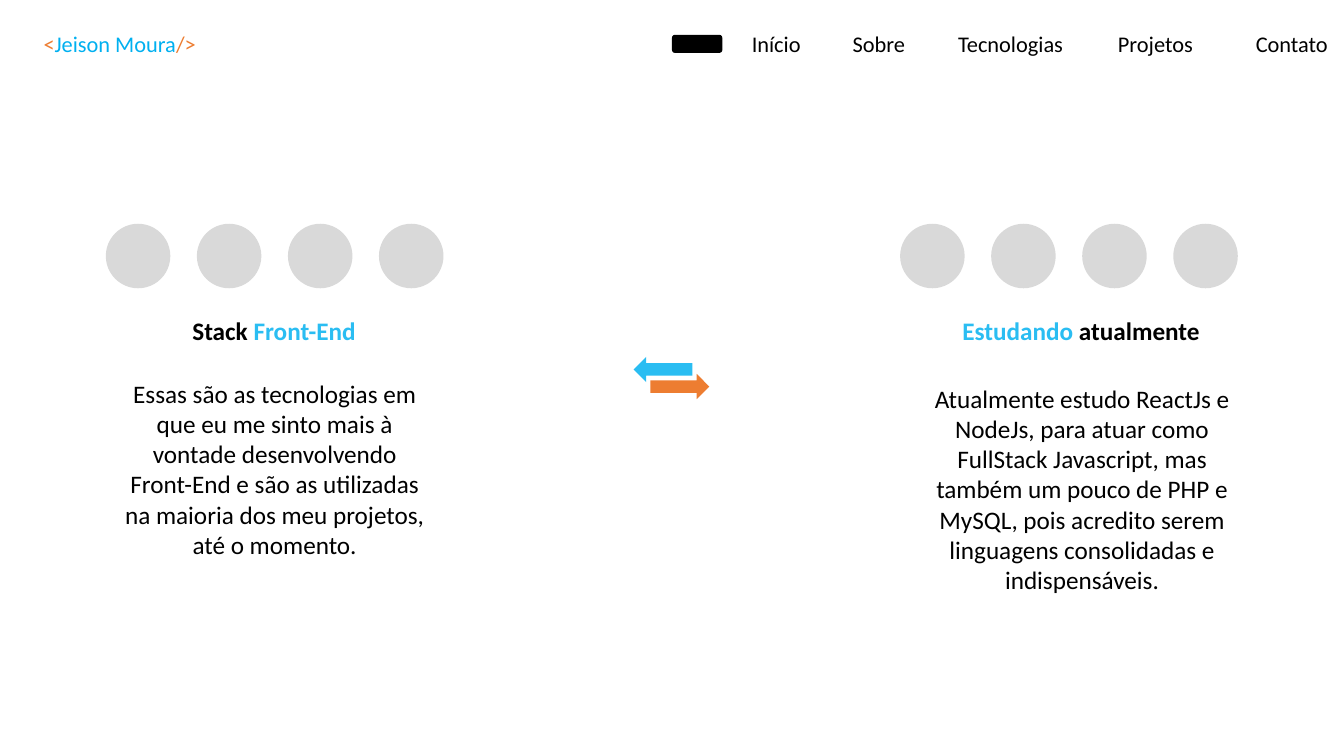
import pptx
import pptx.dml.color
import pptx.enum.shapes
import pptx.enum.text
import pptx.oxml.ns
import pptx.util
from lxml import etree

SLIDE_WIDTH = pptx.util.Inches(13.333)
SLIDE_HEIGHT = pptx.util.Inches(7.5)
COLUMN = SLIDE_WIDTH / 40
ROW = SLIDE_HEIGHT / 30

COLORS = {
    "ink": "000000",
    "sky": "2ABDF2",
    "blue": "00B0F0",
    "orange": "ED7D31",
    "gray": "D9D9D9",
}
FONT = "Calibri"
SHAPES = pptx.enum.shapes.MSO_SHAPE
LEFT = pptx.enum.text.PP_ALIGN.LEFT
CENTER = pptx.enum.text.PP_ALIGN.CENTER


def color(name):
    return pptx.dml.color.RGBColor.from_string(COLORS[name])


def place(column, row, columns, rows):
    return (round(column * COLUMN), round(row * ROW),
            round(columns * COLUMN), round(rows * ROW))


def add_figure(slide, kind, area, fill, rotation=0):
    figure = slide.shapes.add_shape(kind, *place(*area))
    figure.shadow.inherit = False
    figure.fill.solid()
    figure.fill.fore_color.rgb = color(fill)
    figure.line.fill.background()
    figure.rotation = rotation


def add_text(slide, area, paragraphs, size=18, bold=False, align=LEFT, wrap=False):
    frame = slide.shapes.add_textbox(*place(*area)).text_frame
    frame.word_wrap = wrap
    for index, pieces in enumerate(paragraphs):
        paragraph = frame.add_paragraph() if index else frame.paragraphs[0]
        paragraph.alignment = align
        for words, tone in pieces:
            run = paragraph.add_run()
            run.text = words
            run.font.name = FONT
            run.font.size = pptx.util.Pt(size)
            run.font.bold = bold
            run.font.color.rgb = color(tone)
    return frame


def add_menu(slide, area, entries, stops):
    frame = add_text(slide, area, [[("\t".join(entries), "ink")]], size=16, wrap=True)
    frame.margin_right = 0
    properties = frame.paragraphs[0]._p.get_or_add_pPr()
    tabs = etree.SubElement(properties, pptx.oxml.ns.qn("a:tabLst"))
    for stop in stops:
        etree.SubElement(tabs, pptx.oxml.ns.qn("a:tab"),
                         pos=str(round(stop * COLUMN)), algn="l")


def add_circles(slide, first_column, count=4, pitch=2.71):
    for index in range(count):
        add_figure(slide, SHAPES.OVAL,
                   (first_column + index * pitch, 8.88, 1.92, 2.56), "gray")


def add_stack(slide, circles_column, title_area, title, body_area, body):
    add_text(slide, title_area, [title], bold=True)
    add_circles(slide, circles_column)
    add_text(slide, body_area, [[(words, "ink")] for words in body],
             align=CENTER, wrap=True)


def main():
    deck = pptx.Presentation()
    deck.slide_width = SLIDE_WIDTH
    deck.slide_height = SLIDE_HEIGHT
    slide = deck.slides.add_slide(deck.slide_layouts[6])

    add_stack(
        slide, 3.15,
        (5.43, 12.32, 5.52, 1.6), [("Stack ", "ink"), ("Front-End", "sky")],
        (3.15, 14.8, 10.05, 7.68),
        ["Essas são as tecnologias em que eu me sinto mais à vontade desenvolvendo",
         "Front-End e são as utilizadas na maioria dos meu projetos, até o momento."])
    add_stack(
        slide, 26.79,
        (28.35, 12.32, 7.71, 1.6), [("Estudando", "sky"), (" atualmente", "ink")],
        (27.18, 15, 10.05, 8.88),
        ["Atualmente estudo ReactJs e NodeJs, para atuar como FullStack Javascript, "
         "mas também um pouco de PHP e MySQL, pois acredito serem linguagens "
         "consolidadas e indispensáveis."])

    add_figure(slide, SHAPES.LEFT_ARROW, (18.86, 14.16, 1.75, 1), "sky")
    add_figure(slide, SHAPES.LEFT_ARROW, (19.36, 14.84, 1.75, 1), "orange", rotation=180)

    add_text(slide, (1, 1, 5.25, 1.48),
             [[("<", "orange"), ("Jeison Moura", "blue"), ("/>", "orange")]], size=16)
    add_menu(slide, (22.08, 1, 17.92, 1.48),
             ["Início", "Sobre", "Tecnologias", "Projetos", "Contato"],
             [3, 6.14, 10.9, 15])
    add_figure(slide, SHAPES.ROUNDED_RECTANGLE, (20, 1.38, 1.5, 0.72), "ink")

    deck.save("out.pptx")


if __name__ == "__main__":
    main()
